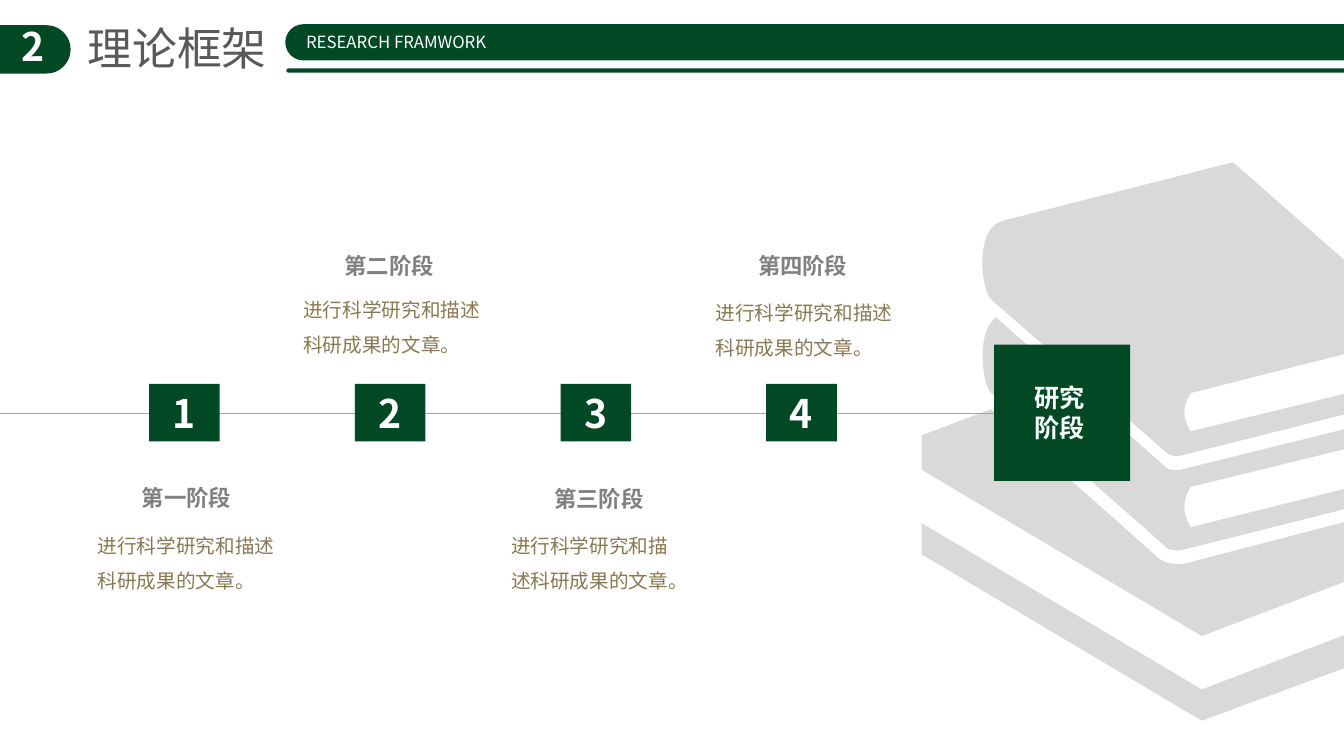
from dataclasses import dataclass

from lxml import etree
from pptx import Presentation
from pptx import util as u
from pptx.dml.color import RGBColor
from pptx.enum import shapes, text
from pptx.oxml.ns import qn

BOOKS = [
    [(13.98, 4.1), (13.98, 4.3), (11.81, 4.83),
     (11.72, 4.98, 11.73, 5.1, 11.81, 5.23),
     (13.98, 4.69), (13.98, 4.89), (11.71, 5.46),
     (11.66, 5.46, 11.61, 5.46, 11.58, 5.44), (9.83, 3.9),
     (9.75, 3.84, 9.67, 3.29, 9.88, 3.15), (11.58, 4.65),
     (11.61, 4.66, 11.66, 4.67, 11.71, 4.66)],
    [(9.95, 2.19), (12.23, 1.61), (13.98, 3.15), (13.98, 3.35), (11.81, 3.9),
     (11.72, 4.04, 11.73, 4.16, 11.81, 4.28),
     (13.98, 3.75), (13.98, 3.95), (11.71, 4.52),
     (11.66, 4.53, 11.61, 4.52, 11.58, 4.5), (9.83, 2.97),
     (9.73, 2.88, 9.66, 2.25, 9.95, 2.19)],
    [(11.92, 6.84), (9.14, 5.19), (9.14, 5.5), (11.92, 7.15),
     (13.52, 6.56), (13.52, 6.23)],
    [(14.33, 5.78), (13.66, 6.02), (13.66, 7.01), (13.99, 6.61),
     (14.33, 6.76), (14.33, 6.26), (14.62, 6.15),
     (14.76, 6.09, 14.81, 6.04, 14.81, 5.91), (14.81, 5.13),
     (14.81, 5.07, 14.78, 5.02, 14.73, 4.99),
     (14.1, 4.62), (14.1, 4.98), (11.76, 5.59),
     (11.66, 5.61, 11.53, 5.59, 11.46, 5.51),
     (9.83, 4.06), (9.14, 4.32), (9.14, 4.66), (11.92, 6.31),
     (14.5, 5.33), (14.5, 5.85), (14.33, 5.92)],
]

STAGES = [
    ("第一阶段", (1.31, 4.75), (0.87, 5.13, 1.99)),
    ("第二阶段", (3.32, 2.45), (2.91, 2.79, 2.04)),
    ("第三阶段", (5.4, 4.76), (4.97, 5.13, 1.95)),
    ("第四阶段", (7.42, 2.45), (7, 2.82, 2.07)),
]


@dataclass(frozen=True)
class Theme:
    """Colours, type sizes and font of the slide."""
    font: str = "Noto Sans CJK SC"
    green: str = "014924"
    white: str = "FFFFFF"
    book: str = "D9D9D9"
    rule: str = "A6A6A6"
    title: str = "595959"
    head: str = "808080"
    body: str = "887952"
    big: int = 32
    num: int = 28
    goal: int = 18
    stage: int = 16
    note: int = 14
    tag: int = 12


def trace(contour):
    """Return the contour as points, with its curves sampled."""
    points = []
    for step in contour:
        if len(step) == 2:
            points.append(step)
            continue
        knots = [points[-1], step[:2], step[2:4], step[4:]]
        for i in range(1, 13):
            t = i / 12
            mix = ((1 - t) ** 3, 3 * t * (1 - t) ** 2, 3 * t * t * (1 - t), t ** 3)
            points.append(tuple(sum(m * k[axis] for m, k in zip(mix, knots))
                                for axis in (0, 1)))
    return [(u.Inches(x), u.Inches(y)) for x, y in points]


class Board:
    """Draws styled elements on one slide."""

    def __init__(self, slide, theme):
        self.items = slide.shapes
        self.theme = theme

    def paint(self, shape, color):
        """Give a shape a flat fill without line or shadow."""
        shape.shadow.inherit = False
        shape.fill.solid()
        shape.fill.fore_color.rgb = RGBColor.from_string(color)
        shape.line.fill.background()
        return shape

    def block(self, *at, round=False):
        """Add a green rectangle or pill."""
        kind = shapes.MSO_SHAPE.ROUNDED_RECTANGLE if round else shapes.MSO_SHAPE.RECTANGLE
        shape = self.paint(self.items.add_shape(kind, *map(u.Inches, at)), self.theme.green)
        if round:
            shape.adjustments[0] = 0.5
        return shape

    def letter(self, shape, words, size, color, bold=False, center=False,
               wrap=True, inset=True, space=None):
        """Set and format the text of a shape."""
        frame = shape.text_frame
        frame.text = words
        frame.word_wrap = wrap
        frame.auto_size = text.MSO_AUTO_SIZE.SHAPE_TO_FIT_TEXT
        frame.margin_left = frame.margin_right = u.Inches(0.1 if inset else 0)
        frame.margin_top = frame.margin_bottom = u.Inches(0.05 if inset else 0)
        line = frame.paragraphs[0]
        line.alignment = text.PP_ALIGN.CENTER if center else text.PP_ALIGN.LEFT
        if space:
            line.line_spacing = space
        for run in line.runs:
            font = run.font
            font.size = u.Pt(size)
            font.bold = bold
            font.color.rgb = RGBColor.from_string(color)
            font.name = self.theme.font
            etree.SubElement(run._r.get_or_add_rPr(), qn("a:ea"), typeface=self.theme.font)

    def label(self, at, words, size, color, **style):
        """Add a text box."""
        self.letter(self.items.add_textbox(*map(u.Inches, at)), words, size, color, **style)

    def rule(self, left, right, y):
        """Add a thin horizontal line."""
        line = self.items.add_connector(
            shapes.MSO_CONNECTOR.STRAIGHT, *map(u.Inches, (left, y, right, y)))
        line.line.color.rgb = RGBColor.from_string(self.theme.rule)
        line.line.width = u.Pt(0.5)
        etree.SubElement(line._element.spPr, qn("a:effectLst"))

    def outline(self, contours, color):
        """Add one freeform made of several contours."""
        first, *rest = map(trace, contours)
        pen = self.items.build_freeform(*first[0], scale=1.0)
        pen.add_line_segments(first[1:], close=True)
        for points in rest:
            pen.move_to(*points[0])
            pen.add_line_segments(points[1:], close=True)
        self.paint(pen.convert_to_shape(), color)


def main():
    """Build and save the slide."""
    deck = Presentation()
    deck.slide_width, deck.slide_height = u.Inches(13.33), u.Inches(7.5)
    look = Theme()
    board = Board(deck.slides.add_slide(deck.slide_layouts[6]), look)

    board.outline(BOOKS, look.book)
    board.block(-0.28, 0.25, 0.98, 0.48, round=True)
    board.label((0.07, 0.22, 0.51, 0.57), "2", look.num, look.white,
                bold=True, center=True, inset=False)
    board.label((0.77, 0.16, 2, 0.64), "理论框架", look.big, look.title, wrap=False)
    board.rule(-0.14, 9.86, 4.1)

    for i, (head, spot, (left, top, width)) in enumerate(STAGES):
        board.label((*spot, 1.1, 0.37), head, look.stage, look.head, bold=True, wrap=False)
        board.label((left, top, width, 0.81), "进行科学研究和描述科研成果的文章。",
                    look.note, look.body, space=1.5)
        board.letter(board.block(1.48 + 2.04 * i, 3.81, 0.7, 0.57), str(i + 1),
                     look.num, look.white, bold=True, center=True, inset=False)

    board.block(9.86, 3.42, 1.35, 1.35)
    board.label((10.16, 3.74, 0.74, 0.71), "研究阶段", look.goal, look.white, bold=True)
    board.block(2.83, 0.24, 11.03, 0.36, round=True)
    board.block(2.84, 0.68, 11.03, 0.04, round=True)
    board.label((2.87, 0.27, 2.12, 0.3), "RESEARCH FRAMWORK", look.tag, look.white,
                center=True, wrap=False)
    deck.save("out.pptx")


if __name__ == "__main__":
    main()
